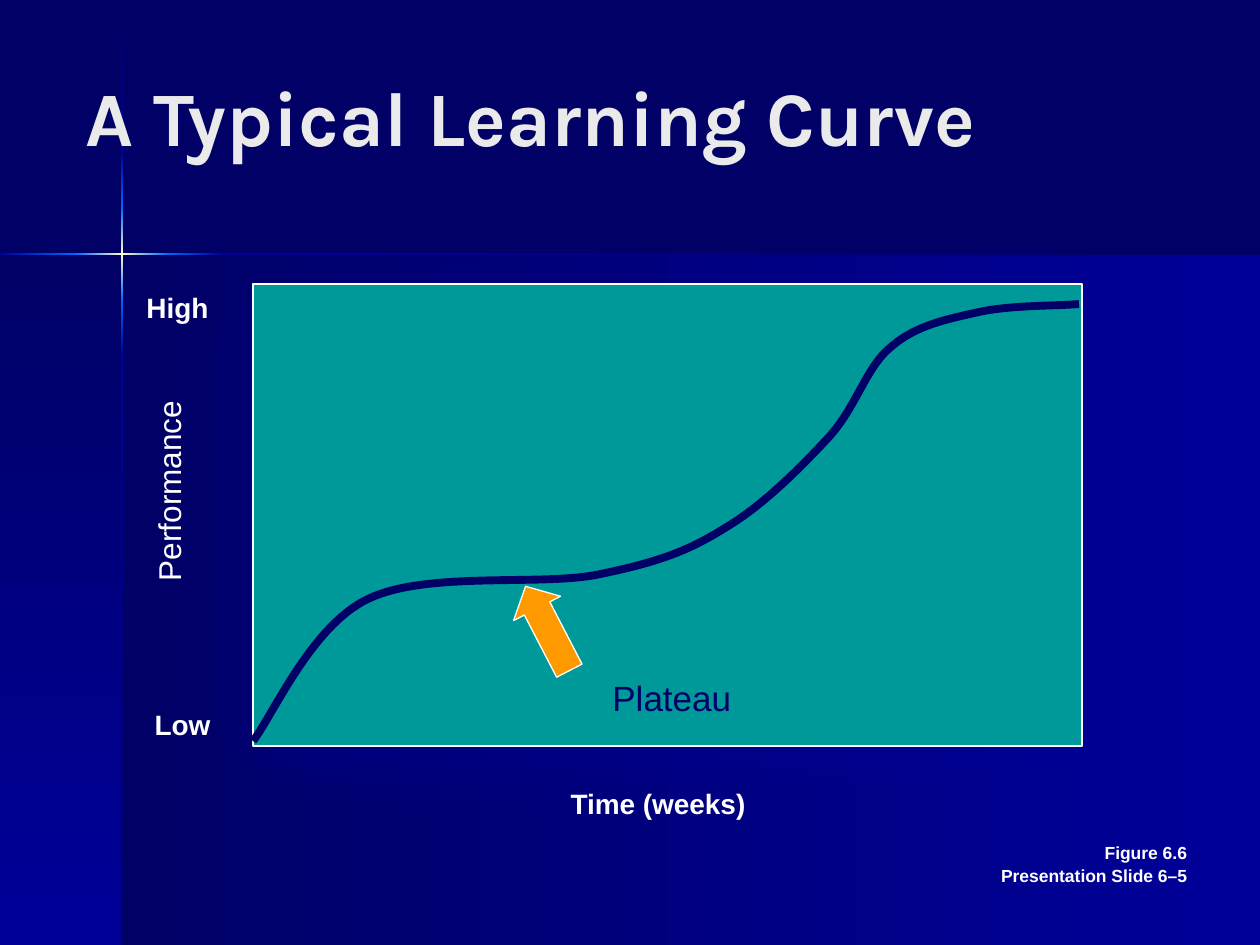
from lxml import etree
from pptx import Presentation
from pptx.dml.color import RGBColor
from pptx.enum.shapes import MSO_SHAPE as SHAPE
from pptx.enum.text import MSO_ANCHOR as ANCHOR, MSO_AUTO_SIZE as AUTO, PP_ALIGN as ALIGN
from pptx.oxml import parse_xml
from pptx.oxml.ns import nsdecls, qn
from pptx.util import Emu, Pt

SCALE = 914400 / 126
NAVY, BLUE, BRIGHT, CREAM, WHITE = "000066", "000099", "0066FF", "FFFFCC", "FFFFFF"

# x, y, width, height, angle, colours from start to end
PANELS = [
    (122, 255, 1138, 690, 0, [NAVY, BLUE]),
    (0, 255, 122, 690, 90, [NAVY, BLUE]),
]
RAYS = [
    (121, 1, 2, 151, 90, [NAVY, BLUE]),
    (121, 355, 2, 590, 90, [BLUE, NAVY]),
    (223, 253, 1037, 2, 0, [BLUE, NAVY]),
    (121, 300, 2, 55, 90, [BRIGHT, BLUE]),
    (121, 152, 2, 56, 90, [BLUE, BRIGHT]),
    (121, 208, 2, 92, 90, [BRIGHT, CREAM, BRIGHT]),
    (0, 253, 76, 2, 0, [BLUE, BRIGHT]),
    (168, 253, 55, 2, 0, [BRIGHT, BLUE]),
    (76, 253, 92, 2, 0, [BRIGHT, CREAM, BRIGHT]),
]
# Start point, then two control points and an end point per segment
CURVE = [
    (253, 741),
    (272, 717), (311, 626), (368, 599),
    (426, 571), (537, 586), (596, 575),
    (655, 563), (687, 552), (725, 528),
    (764, 505), (801, 467), (829, 437),
    (857, 406), (866, 367), (891, 347),
    (916, 325), (948, 319), (979, 312),
    (1011, 305), (1058, 306), (1079, 304),
]


def px(n):
    return Emu(round(n * SCALE))


def rgb(value):
    return RGBColor.from_string(value)


def add_block(slide, kind, box, fill=None, line=None):
    sp = slide.shapes.add_shape(kind, *map(px, box))
    sp.shadow.inherit = False
    if fill:
        sp.fill.solid()
        sp.fill.fore_color.rgb = rgb(fill)
    if line:
        sp.line.color.rgb = rgb(line)
        sp.line.width = Pt(0.75)
    else:
        sp.line.fill.background()
    return sp


def add_gradient(slide, x, y, w, h, angle, colours):
    sp = add_block(slide, SHAPE.RECTANGLE, (x, y, w, h))
    step = 100000 // (len(colours) - 1)
    stops = "".join(
        f'<a:gs pos="{i * step}"><a:srgbClr val="{c}"/></a:gs>'
        for i, c in enumerate(colours))
    grad = parse_xml(
        f'<a:gradFill {nsdecls("a")} rotWithShape="1"><a:gsLst>{stops}</a:gsLst>'
        f'<a:lin ang="{angle * 60000}" scaled="0"/></a:gradFill>')
    sp._element.spPr.find(qn("a:prstGeom")).addnext(grad)


def shadow_xml(colour, alpha, blur, dist, angle):
    return parse_xml(
        f'<a:effectLst {nsdecls("a")}><a:outerShdw blurRad="{Pt(blur)}" '
        f'dist="{Pt(dist)}" dir="{angle * 60000}" algn="ctr" rotWithShape="0">'
        f'<a:srgbClr val="{colour}"><a:alpha val="{alpha * 1000}"/></a:srgbClr>'
        f'</a:outerShdw></a:effectLst>')


def add_curve(slide, points, colour, width):
    builder = slide.shapes.build_freeform(*points[0], scale=SCALE)
    builder.add_line_segments(points[1:], close=False)
    sp = builder.convert_to_shape()
    sp.shadow.inherit = False
    sp.fill.background()
    sp.line.color.rgb = rgb(colour)
    sp.line.width = Pt(width)
    # Every three straight segments become one Bézier segment
    path = sp._element.find(".//" + qn("a:path"))
    lines = path.findall(qn("a:lnTo"))
    for i in range(0, len(lines), 3):
        bezier = etree.SubElement(path, qn("a:cubicBezTo"))
        for ln in lines[i:i + 3]:
            bezier.append(ln[0])
            path.remove(ln)


def add_text(slide, text, box, size, colour=WHITE, bold=True, align=ALIGN.LEFT,
             font="Arial", rotation=0, flush=False):
    sp = slide.shapes.add_textbox(*map(px, box))
    sp.rotation = rotation
    tf = sp.text_frame
    tf.word_wrap = True
    tf.auto_size = AUTO.SHAPE_TO_FIT_TEXT
    if flush:
        tf.margin_left = tf.margin_right = tf.margin_top = tf.margin_bottom = 0
        tf.vertical_anchor = ANCHOR.BOTTOM
    p = tf.paragraphs[0]
    p.alignment = align
    r = p.add_run()
    r.text = text
    r.font.size = Pt(size)
    r.font.name = font
    r.font.bold = bold
    r.font.color.rgb = rgb(colour)
    return r


def main():
    prs = Presentation()
    prs.slide_width, prs.slide_height = px(1260), px(945)
    slide = prs.slides.add_slide(prs.slide_layouts[6])

    # Background with panels and crossing light rays
    slide.background.fill.solid()
    slide.background.fill.fore_color.rgb = rgb(NAVY)
    for strip in PANELS + RAYS:
        add_gradient(slide, *strip)

    # Plot area
    plot = add_block(slide, SHAPE.RECTANGLE, (253, 284, 829, 462), "009999", WHITE)
    spPr = plot._element.spPr
    spPr.replace(spPr.find(qn("a:effectLst")), shadow_xml(BLUE, 50, 37, 10, 90))

    add_text(slide, "A Typical Learning Curve", (73, 63, 1113, 106), 44, "EAEAEA",
             font="Karla")

    # Learning curve and the arrow to its plateau
    add_curve(slide, CURVE, NAVY, 4.5)
    arrow = add_block(slide, SHAPE.RIGHT_ARROW, (500, 602, 95, 53), "FF9900", WHITE)
    arrow.adjustments[0], arrow.adjustments[1] = 0.54, 0.47
    arrow.rotation = 62.6
    arrow._element.spPr.find(qn("a:xfrm")).set("flipH", "1")
    r = add_text(slide, "Plateau", (600, 670, 168, 55), 20, NAVY, bold=False)
    r.font._element.find(qn("a:solidFill")).addnext(shadow_xml(WHITE, 100, 0, 2, 45))

    # Axis labels
    add_text(slide, "Performance", (50, 466, 237, 50), 18, bold=False,
             align=ALIGN.CENTER, rotation=270)
    add_text(slide, "Low", (134, 701, 97, 47), 16, align=ALIGN.CENTER)
    add_text(slide, "High", (134, 284, 94, 47), 16)
    add_text(slide, "Time (weeks)", (511, 780, 294, 47), 16, align=ALIGN.CENTER)

    # Figure reference
    for i, text in enumerate(["Figure 6.6", "Presentation Slide 6–5"]):
        add_text(slide, text, (935, 842 + 23 * i, 252, 21), 10, align=ALIGN.RIGHT,
                 flush=True)

    prs.save("out.pptx")


if __name__ == "__main__":
    main()
